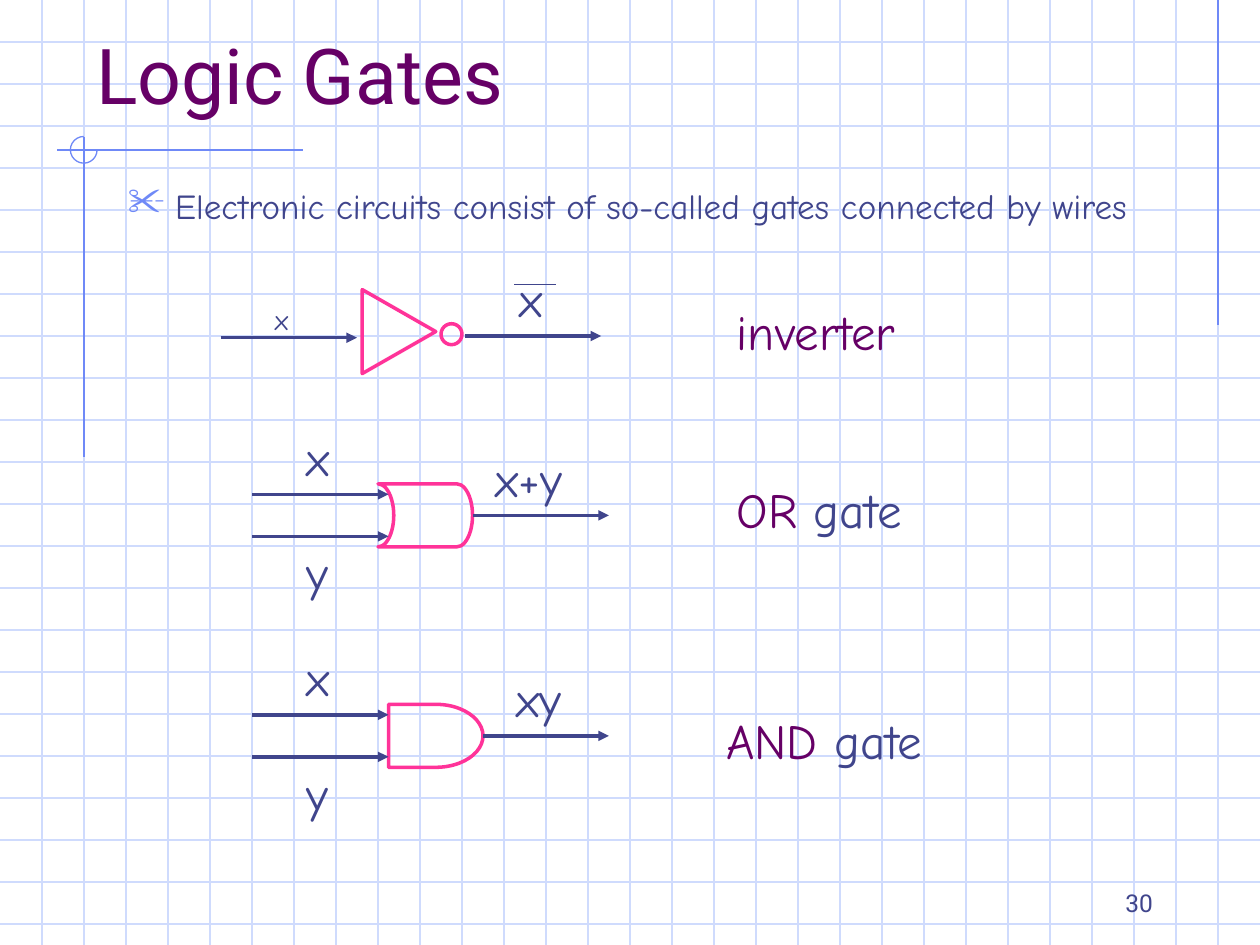
import pptx
import pptx.util
import pptx.dml.color
import pptx.enum.shapes
import pptx.enum.text
import pptx.oxml
import pptx.oxml.ns

Pt = pptx.util.Pt
SHAPE = pptx.enum.shapes.MSO_SHAPE
ANCHOR = pptx.enum.text.MSO_ANCHOR
ALIGN = pptx.enum.text.PP_ALIGN

WIDTH, HEIGHT, GRID = 720, 540, 24
PALE, BLUE, NAVY, PURPLE, PINK = "CFDBFD", "6F89F7", "40458C", "660066", "FF3399"
HEAD_FONT, BODY_FONT = "Roboto", "Comic Neue"

TITLE = "Logic Gates"
BULLET = "Electronic circuits consist of so-called gates connected by wires"
PAGE = "30"

# shape, rotation, gate left and top, output label and its left, gate name and its left and top
TWO_INPUT_GATES = [
    (SHAPE.FLOWCHART_STORED_DATA, 180, 216, 276.5, "x+y", 276, "OR", 414, 270.5),
    (SHAPE.FLOWCHART_DELAY, 0, 222, 402.5, "xy", 288, "AND", 408, 402.5),
]

prs = pptx.Presentation()
prs.slide_width, prs.slide_height = Pt(WIDTH), Pt(HEIGHT)
s = prs.slides.add_slide(prs.slide_layouts[6])


def rgb(value):
    return pptx.dml.color.RGBColor.from_string(value)


def add_xml(parent, tag, **attributes):
    child = pptx.oxml.parse_xml(f"<a:{tag} {pptx.oxml.ns.nsdecls('a')}/>")
    for name, value in attributes.items():
        child.set(name, value)
    parent.append(child)


def line(x1, y1, x2, y2, color, width=0.75, arrow=False):
    c = s.shapes.add_connector(pptx.enum.shapes.MSO_CONNECTOR.STRAIGHT,
                               Pt(x1), Pt(y1), Pt(x2), Pt(y2))
    c.line.color.rgb = rgb(color)
    c.line.width = Pt(width)
    if arrow:
        add_xml(c.line._get_or_add_ln(), "tailEnd", type="triangle")
    add_xml(c._element.spPr, "effectLst")


def wire(x1, x2, y):
    line(x1, y, x2, y, NAVY, 2, arrow=True)


def outline(kind, x, y, w, h, color=PINK, width=2, rotation=0):
    sp = s.shapes.add_shape(kind, Pt(x), Pt(y), Pt(w), Pt(h))
    sp.shadow.inherit = False
    sp.fill.background()
    sp.line.color.rgb = rgb(color)
    sp.line.width = Pt(width)
    sp.rotation = rotation
    return sp


def text(x, y, w, h, runs, size=28, font=BODY_FONT, anchor=ANCHOR.TOP):
    """Add a box with one paragraph of (text, colour) runs and return the paragraph."""
    tf = s.shapes.add_textbox(Pt(x), Pt(y), Pt(w), Pt(h)).text_frame
    tf.word_wrap = True
    tf.vertical_anchor = anchor
    p = tf.paragraphs[0]
    for content, color in runs:
        r = p.add_run()
        r.text = content
        r.font.size = Pt(size)
        r.font.name = font
        r.font.color.rgb = rgb(color)
    return p


def label(x, y, content, w=30):
    return text(x, y, w, 41, [(content, NAVY)])


# Graph paper and corner marks
for y in range(GRID, HEIGHT, GRID):
    line(0, y, WIDTH, y, PALE)
for x in range(GRID, WIDTH, GRID):
    line(x, 0, x, HEIGHT, PALE)
line(696, 0, 696, 186, BLUE)
line(173, 85.75, 32.5, 85.75, BLUE)
line(48, 78.5, 48, 261, BLUE)
arc = outline(SHAPE.ARC, 40.25, 78, 15.25, 15.25, BLUE, 0.75)
arc.adjustments[0], arc.adjustments[1] = 0, 162  # 0 to 270 degrees

# Title, bullet and page number
text(48, 24, 648, 48, [(TITLE, PURPLE)], 44, HEAD_FONT, ANCHOR.BOTTOM)
p = text(66, 102, 612, 390, [(BULLET, NAVY)], 20)
pPr = p._p.get_or_add_pPr()
pPr.set("marL", str(Pt(27)))
pPr.set("indent", str(Pt(-27)))
add_xml(pPr, "buClr")
pPr[-1].append(pptx.oxml.parse_xml(
    f'<a:srgbClr {pptx.oxml.ns.nsdecls("a")} val="{BLUE}"/>'))
add_xml(pPr, "buSzPct", val="110000")
add_xml(pPr, "buChar", char="✂")
text(516, 510, 150, 18, [(PAGE, NAVY)], 14, HEAD_FONT, ANCHOR.BOTTOM).alignment = ALIGN.RIGHT

# Inverter
outline(SHAPE.ISOSCELES_TRIANGLE, 204, 168.5, 48, 42, rotation=90)
outline(SHAPE.FLOWCHART_CONNECTOR, 252, 185, 12, 12)
wire(126, 204, 193)
wire(265.5, 343.5, 192)
label(150, 150.5, "x").runs[0].font._element.set("baseline", "-25000")
label(289.5, 150, "x", 65)
line(294, 162.5, 318, 162.5, NAVY)
text(414, 168.5, 180, 41, [("inverter", PURPLE)])

# OR and AND gates
for kind, rotation, x, y, output, output_x, name, name_x, name_y in TWO_INPUT_GATES:
    outline(kind, x, y, 54, 36, rotation=rotation)
    for offset in (6, 30):
        wire(144, 222, y + offset)
    wire(x + 54, 348, y + 18)
    label(168, y - 36, "x")
    label(168, y + 30, "y")
    label(output_x, y - 24, output, 66)
    text(name_x, name_y, 180, 41, [(name, PURPLE), (" gate", NAVY)])

prs.save("out.pptx")
